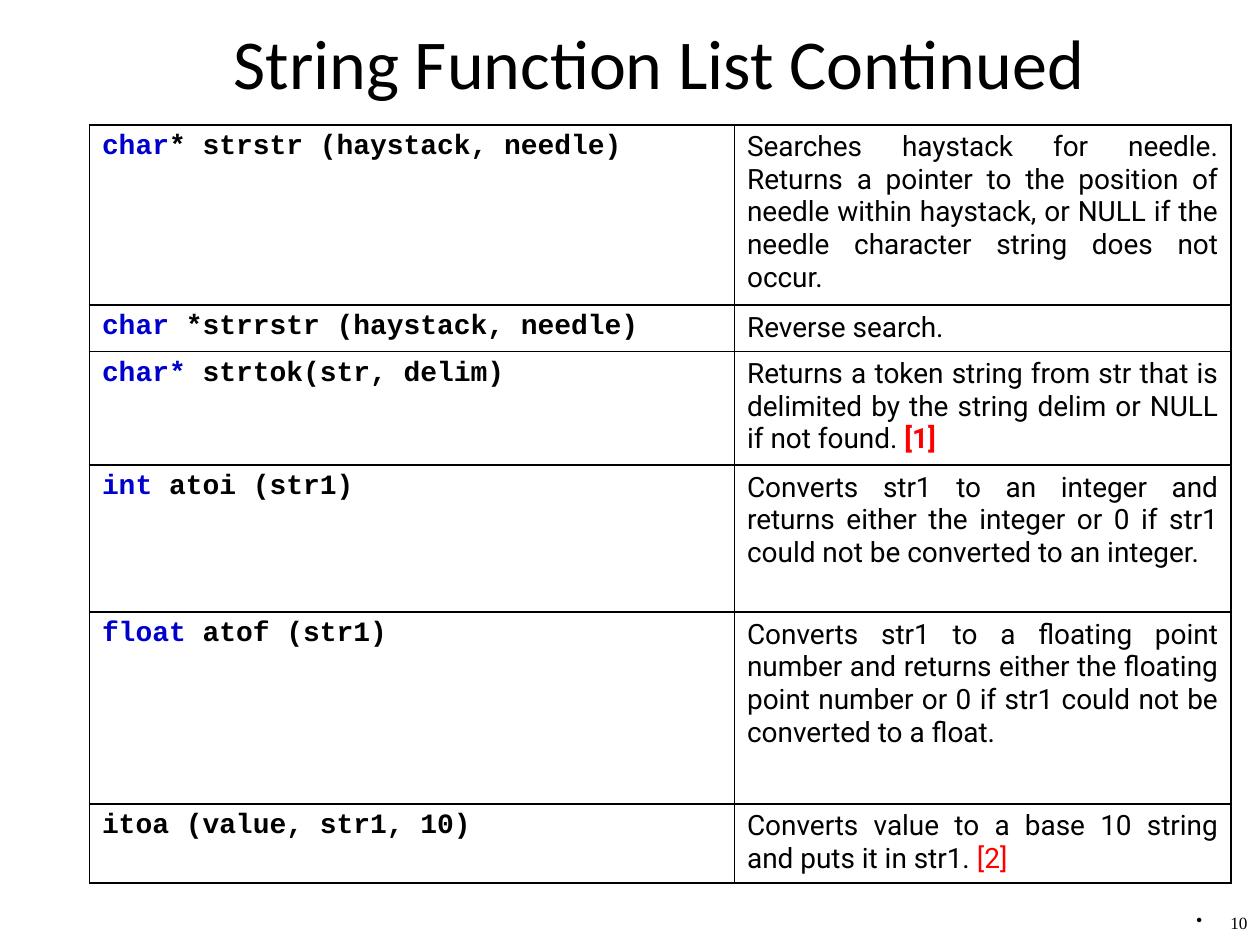
import pptx
import pptx.dml.color
import pptx.enum.text
import pptx.oxml
import pptx.oxml.ns
import pptx.util
from pptx.util import Inches, Pt

RGBColor = pptx.dml.color.RGBColor
ALIGN = pptx.enum.text.PP_ALIGN
ANCHOR = pptx.enum.text.MSO_ANCHOR

BLACK = RGBColor(0x00, 0x00, 0x00)
KEYWORD_BLUE = RGBColor(0x00, 0x00, 0xCC)
NOTE_RED = RGBColor(0xFF, 0x00, 0x00)

THICK, THIN = 1.08, 0.45

# Each row: height, return type, rest of the signature, description,
# footnote mark, whether the mark is bold
FUNCTIONS = [
    (1.43, "char", "* strstr (haystack, needle)",
     "Searches haystack for needle. Returns a pointer to the position of needle "
     "within haystack, or NULL if the needle character string does not occur.", "", False),
    (0.37, "char", " *strrstr (haystack, needle)", "Reverse search.", "", False),
    (0.9, "char* ", "strtok(str, delim)",
     "Returns a token string from str that is delimited by the string delim "
     "or NULL if not found. ", "[1]", True),
    (1.17, "int", " atoi (str1)",
     "Converts str1 to an integer and returns either the integer or 0 if str1 "
     "could not be converted to an integer.", "", False),
    (1.52, "float", " atof (str1)",
     "Converts str1 to a floating point number and returns either the floating "
     "point number or 0 if str1 could not be converted to a float.", "", False),
    (0.63, "", "itoa (value, str1, 10)",
     "Converts value to a base 10 string and puts it in str1. ", "[2]", False),
]


class SlideBuilder:
    def __init__(self, presentation):
        self.slide = presentation.slides.add_slide(presentation.slide_layouts[5])
        self.title_font, self.code_font = "Calibri", "Courier New"
        self.body_font, self.number_font = "Roboto", "Times New Roman"
        self.body_size = 16

    def style(self, font, name, size, color, bold=False):
        font.name, font.size, font.bold = name, Pt(size), bold
        font.color.rgb = color

    def title(self, text, left, top, width, height):
        shape = self.slide.shapes.title
        shape.left, shape.top = Inches(left), Inches(top)
        shape.width, shape.height = Inches(width), Inches(height)
        frame = shape.text_frame
        frame.text = text
        frame.vertical_anchor = ANCHOR.MIDDLE
        paragraph = frame.paragraphs[0]
        paragraph.alignment = ALIGN.CENTER
        self.style(paragraph.runs[0].font, self.title_font, 40, BLACK)

    def borders(self, cell, left, right):
        """Draw the four sides; top and bottom are always thick."""
        properties = cell._tc.get_or_add_tcPr()
        sides = (("L", left), ("R", right), ("T", THICK), ("B", THICK))
        for position, (side, width) in enumerate(sides):
            line = pptx.oxml.parse_xml(
                f'<a:ln{side} {pptx.oxml.ns.nsdecls("a")} w="{Pt(width)}">'
                f'<a:solidFill><a:srgbClr val="{BLACK}"/></a:solidFill></a:ln{side}>')
            properties.insert(position, line)

    def cell(self, cell, pieces, left, right):
        """Fill a cell with (text, font name, color, bold) pieces."""
        cell.fill.background()
        self.borders(cell, left, right)
        paragraph = cell.text_frame.paragraphs[0]
        paragraph.alignment = ALIGN.JUSTIFY
        for text, name, color, bold in pieces:
            if text:
                run = paragraph.add_run()
                run.text = text
                self.style(run.font, name, self.body_size, color, bold)

    def function_table(self, functions, left, top, column_widths):
        heights = [function[0] for function in functions]
        table = self.slide.shapes.add_table(
            len(functions), len(column_widths), Inches(left), Inches(top),
            Inches(sum(column_widths)), Inches(sum(heights))).table
        table.first_row = table.horz_banding = False
        for column, width in zip(table.columns, column_widths):
            column.width = Inches(width)
        for row, function in zip(table.rows, functions):
            height, return_type, signature, description, mark, mark_bold = function
            row.height = Inches(height)
            self.cell(row.cells[0], [
                (return_type, self.code_font, KEYWORD_BLUE, True),
                (signature, self.code_font, BLACK, True)], THICK, THIN)
            self.cell(row.cells[1], [
                (description, self.body_font, BLACK, False),
                (mark, self.body_font, NOTE_RED, mark_bold)], THIN, THICK)

    def page_number(self, text, left, top, width, height):
        frame = self.slide.shapes.add_textbox(
            Inches(left), Inches(top), Inches(width), Inches(height)).text_frame
        frame.word_wrap = True
        frame.text = text
        paragraph = frame.paragraphs[0]
        paragraph.alignment = ALIGN.RIGHT
        paragraph.line_spacing = 0.8
        properties = paragraph._p.get_or_add_pPr()
        indent = Inches(0.27)
        properties.set("marL", str(indent))
        properties.set("indent", str(-indent))
        namespace = pptx.oxml.ns.nsdecls("a")
        properties.append(pptx.oxml.parse_xml(
            f'<a:buClr {namespace}><a:srgbClr val="{BLACK}"/></a:buClr>'))
        properties.append(pptx.oxml.parse_xml(f'<a:buChar {namespace} char="•"/>'))
        self.style(paragraph.runs[0].font, self.number_font, 9.8, BLACK)


def main():
    presentation = pptx.Presentation()
    presentation.slide_width, presentation.slide_height = Inches(10), Inches(7.5)
    builder = SlideBuilder(presentation)
    builder.title("String Function List Continued", 0.98, 0.13, 8.5, 0.71)
    builder.function_table(FUNCTIONS, 0.71, 0.99, [5.12, 3.94])
    builder.page_number("10", 9.36, 7.22, 0.64, 0.28)
    presentation.save("out.pptx")


if __name__ == "__main__":
    main()
